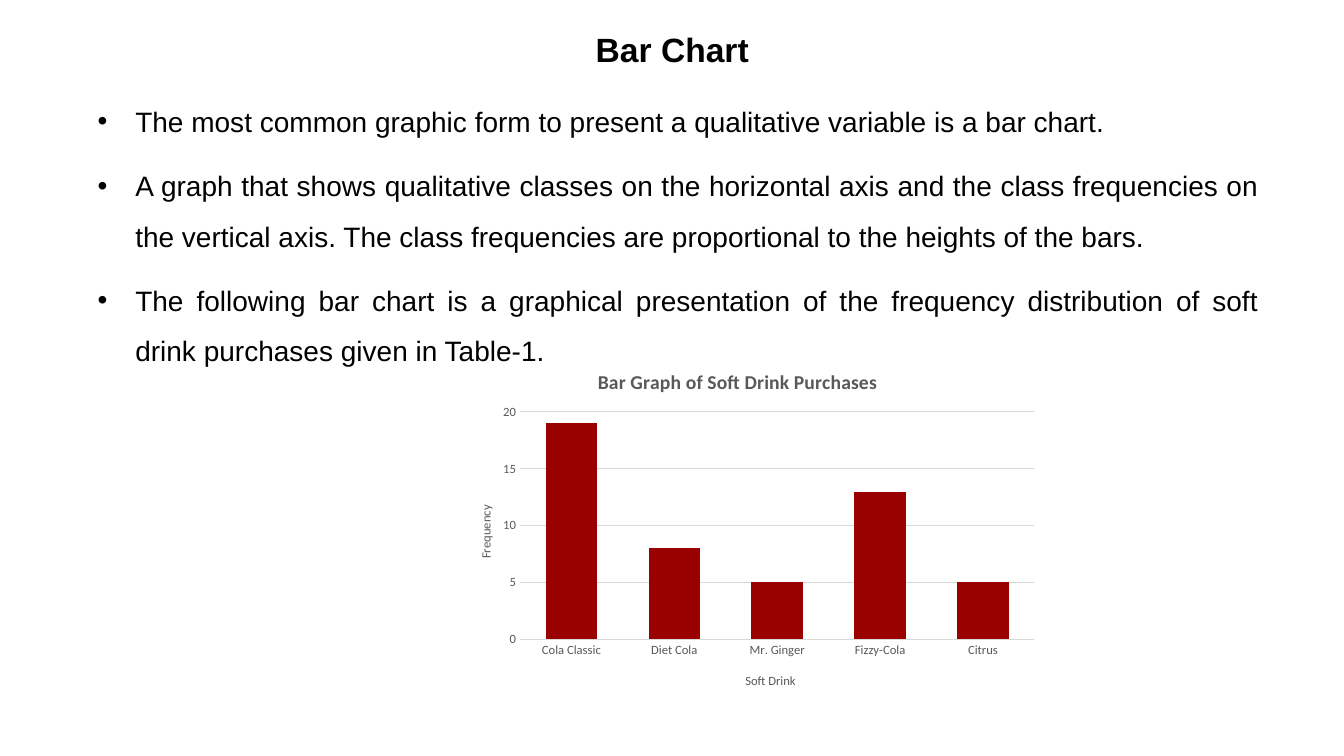
"""Builds a slide on bar charts with three bullets and a column chart."""
from dataclasses import dataclass

from lxml.etree import SubElement
from pptx import Presentation
from pptx.chart.data import CategoryChartData
from pptx.dml.color import RGBColor
from pptx.enum.chart import XL_CHART_TYPE as ChartType, XL_TICK_MARK as TickMark
from pptx.enum.text import MSO_ANCHOR as Anchor, MSO_AUTO_SIZE as AutoSize, PP_ALIGN as Align
from pptx.oxml import parse_xml
from pptx.oxml.ns import nsdecls, qn
from pptx.util import Cm, Pt


@dataclass(frozen=True)
class Theme:
    text_font: str = "Arial"
    chart_font: str = "Calibri"
    ink: str = "000000"
    label: str = "595959"
    grid: str = "D9D9D9"
    bar: str = "990000"
    title_size: int = 24
    body_size: int = 20
    chart_title_size: int = 14
    axis_size: int = 9
    line_spacing: float = 1.5
    paragraph_gap: int = 10


class SlideBuilder:
    def __init__(self, deck, theme):
        self.theme = theme
        self.slide = deck.slides.add_slide(deck.slide_layouts[5])

    def set_font(self, font, name, size, color, bold=False):
        font.name, font.size, font.bold = name, Pt(size), bold
        font.color.rgb = RGBColor.from_string(color)

    def title(self, text, left, top, width, height):
        theme = self.theme
        box = self.slide.shapes.title
        box.left, box.top, box.width, box.height = Cm(left), Cm(top), Cm(width), Cm(height)
        frame = box.text_frame
        frame.text = text
        frame.auto_size, frame.vertical_anchor = AutoSize.NONE, Anchor.BOTTOM
        para = frame.paragraphs[0]
        para.alignment, para.line_spacing = Align.CENTER, theme.line_spacing
        self.set_font(para.font, theme.text_font, theme.title_size, theme.ink, True)

    def bullets(self, texts, left, top, width, height):
        theme = self.theme
        box = self.slide.shapes.add_textbox(Cm(left), Cm(top), Cm(width), Cm(height))
        frame = box.text_frame
        frame.word_wrap, frame.auto_size = True, AutoSize.NONE
        frame.text = "\n".join(texts)
        indent = Cm(0.95)
        for index, para in enumerate(frame.paragraphs):
            properties = para._p.get_or_add_pPr()
            properties.set("marL", str(indent))
            properties.set("indent", str(-indent))
            SubElement(properties, qn("a:buFont"), typeface=theme.text_font)
            SubElement(properties, qn("a:buChar"), char="•")
            para.alignment, para.line_spacing = Align.JUSTIFY, theme.line_spacing
            para.space_before = Pt(theme.paragraph_gap if index else 0)
            self.set_font(para.font, theme.text_font, theme.body_size, theme.ink)

    def place(self, element, index, target=None, **fractions):
        for old in element.findall(qn("c:layout")):
            element.remove(old)
        target = f'<c:layoutTarget val="{target}"/>' if target else ""
        modes = '<c:xMode val="edge"/><c:yMode val="edge"/>'
        values = "".join(f'<c:{key} val="{value}"/>' for key, value in fractions.items())
        element.insert(index, parse_xml(
            f'<c:layout {nsdecls("c")}><c:manualLayout>{target}{modes}{values}'
            "</c:manualLayout></c:layout>"))

    def chart_label(self, title, text, size, x, y, bold=False):
        title.text_frame.text = text
        font = title.text_frame.paragraphs[0].font
        self.set_font(font, self.theme.chart_font, size, self.theme.label, bold)
        self.place(title._element, 1, x=x, y=y)

    def axis(self, axis, text, x, y):
        theme = self.theme
        axis.major_tick_mark = axis.minor_tick_mark = TickMark.NONE
        self.set_font(axis.tick_labels.font, theme.chart_font, theme.axis_size, theme.label)
        self.chart_label(axis.axis_title, text, theme.axis_size, x, y)

    def line(self, line, width):
        line.width = Pt(width)
        line.color.rgb = RGBColor.from_string(self.theme.grid)

    def bar_chart(self, title, frequencies, left, top, width, height):
        theme = self.theme
        data = CategoryChartData()
        data.categories = list(frequencies)
        data.add_series("Series 1", list(frequencies.values()))
        chart = self.slide.shapes.add_chart(
            ChartType.COLUMN_CLUSTERED, Cm(left), Cm(top), Cm(width), Cm(height), data).chart
        self.set_font(chart.font, theme.chart_font, 10, theme.ink)
        chart.has_legend, chart.has_title = False, True
        self.chart_label(chart.chart_title, title, theme.chart_title_size, 0.24, 0.06, True)

        self.axis(chart.category_axis, "Soft Drink", 0.49, 0.9)
        self.line(chart.category_axis.format.line, 1)
        values = chart.value_axis
        self.axis(values, "Frequency", 0.04, 0.44)
        values.minimum_scale, values.maximum_scale, values.major_unit = 0, 20, 5
        values.format.line.fill.background()
        self.line(values.major_gridlines.format.line, 0.75)

        plot = chart.plots[0]
        plot.gap_width, plot.overlap, plot.vary_by_categories = 100, -24, False
        fill = plot.series[0].format.fill
        fill.solid()
        fill.fore_color.rgb = RGBColor.from_string(theme.bar)
        plot_area = chart._chartSpace.find(f'{qn("c:chart")}/{qn("c:plotArea")}')
        self.place(plot_area, 0, "inner", x=0.115, y=0.19, w=0.865, h=0.625)


def main():
    deck = Presentation()
    deck.slide_width, deck.slide_height = Cm(33.87), Cm(19.05)
    page = SlideBuilder(deck, Theme())
    page.title("Bar Chart", 4.24, 0.18, 25.4, 1.68)
    page.bullets([
        "The most common graphic form to present a qualitative variable is a bar chart.",
        "A graph that shows qualitative classes on the horizontal axis and the class frequencies "
        "on the vertical axis. The class frequencies are proportional to the heights of the bars.",
        "The following bar chart is a graphical presentation of the frequency distribution of "
        "soft drink purchases given in Table-1.",
    ], 2.21, 2.08, 29.77, 16.66)
    page.bar_chart(
        "Bar Graph of Soft Drink Purchases",
        {"Cola Classic": 19, "Diet Cola": 8, "Mr. Ginger": 5, "Fizzy-Cola": 13, "Citrus": 5},
        11.38, 8.64, 14.99, 9.17)
    deck.save("out.pptx")


if __name__ == "__main__":
    main()
